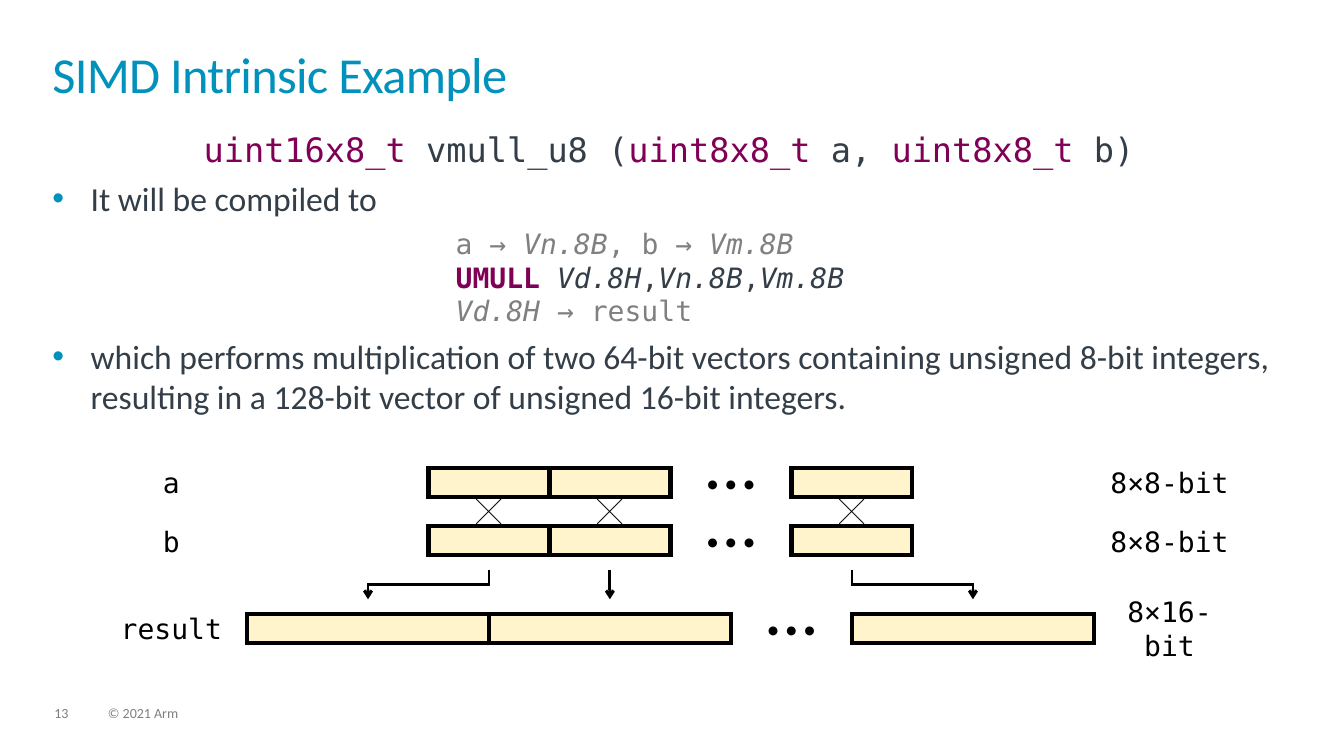
from dataclasses import dataclass
from typing import Any

from lxml import etree
from pptx import Presentation
from pptx import util as u
from pptx.dml.color import RGBColor
from pptx.enum import shapes, text
from pptx.oxml.ns import qn

BLUE = RGBColor(0x00, 0x91, 0xBD)
SLATE = RGBColor(0x33, 0x3E, 0x48)
PURPLE = RGBColor(0x7F, 0x00, 0x55)
GRAY = RGBColor(0x80, 0x80, 0x80)
FOOTER_GRAY = RGBColor(0x7F, 0x7F, 0x7F)
CREAM = RGBColor(0xFF, 0xF4, 0xCC)
BLACK = RGBColor(0, 0, 0)
SANS, MONO, CJK = "Calibri", "DejaVu Sans Mono", "Noto Sans CJK SC"

WIDTH, HEIGHT = u.Inches(13.33), u.Inches(7.5)
GRID_LEFT, GRID_TOP = 2.45, 4.64
COL, ROW = 0.6, 0.29
CENTER = text.PP_ALIGN.CENTER


@dataclass(frozen=True)
class Box:
    left: int
    top: int
    width: int
    height: int


@dataclass(frozen=True)
class Style:
    name: str
    size: float
    color: RGBColor
    bold: bool = False
    italic: bool = False


@dataclass(frozen=True)
class Lane:
    row: int
    label: str
    size_label: str
    span: int
    cells: tuple[int, ...]
    dots: int


@dataclass(frozen=True)
class Arrow:
    start: int
    end: int


Run = tuple[str, Style]

LANES = (
    Lane(0, "a", "8×8-bit", 2, (3, 5, 9), 7),
    Lane(2, "b", "8×8-bit", 2, (3, 5, 9), 7),
    Lane(5, "result", "8×16-bit", 4, (0, 4, 10), 8),
)
ARROWS = (Arrow(4, 2), Arrow(6, 6), Arrow(10, 12))
CROSS_ROW = 1

TITLE = Style(SANS, 36, BLUE)
BODY = Style(SANS, 24, SLATE)
FOOTER = Style(SANS, 10, FOOTER_GRAY)
SIGNATURE, TYPE = Style(MONO, 24, SLATE), Style(MONO, 24, PURPLE)
NOTE, NOTE_REG = Style(MONO, 20, GRAY), Style(MONO, 20, GRAY, italic=True)
CODE, CODE_REG = Style(MONO, 20, SLATE), Style(MONO, 20, SLATE, italic=True)
OPCODE = Style(MONO, 20, PURPLE, bold=True)
LABEL = Style(MONO, 20, BLACK)
DOTS = Style(SANS, 18, BLACK)
CROSS = Style(CJK, 18, BLACK, bold=True)

PROTOTYPE: list[Run] = [
    ("uint16x8_t", TYPE), (" vmull_u8 (", SIGNATURE), ("uint8x8_t", TYPE),
    (" a, ", SIGNATURE), ("uint8x8_t", TYPE), (" b)", SIGNATURE),
]
ASSEMBLY: list[list[Run]] = [
    [("a → ", NOTE), ("Vn.8B", NOTE_REG), (", b → ", NOTE), ("Vm.8B", NOTE_REG)],
    [("UMULL ", OPCODE), ("Vd.8H", CODE_REG), (",", CODE), ("Vn.8B", CODE_REG),
     (",", CODE), ("Vm.8B", CODE_REG)],
    [("Vd.8H", NOTE_REG), (" → result", NOTE)],
]


def share(left: float, top: float, width: float, height: float) -> Box:
    return Box(int(WIDTH * left / 100), int(HEIGHT * top / 100),
               int(WIDTH * width / 100), int(HEIGHT * height / 100))


def grid_x(col: float) -> int:
    return u.Inches(GRID_LEFT + col * COL)


def grid_y(row: float) -> int:
    return u.Inches(GRID_TOP + row * ROW)


def grid(col: float, row: float, span: float) -> Box:
    return Box(grid_x(col), grid_y(row), u.Inches(span * COL), u.Inches(ROW))


def apply(target: Any, values: dict[str, Any]) -> None:
    for key, value in values.items():
        setattr(target, key, value)


def add_run(p: Any, content: str, style: Style) -> Any:
    r = p.add_run()
    r.text = content
    apply(r.font, {"name": style.name, "size": u.Pt(style.size),
                   "bold": style.bold, "italic": style.italic})
    r.font.color.rgb = style.color
    etree.SubElement(r.font._element, qn("a:ea"), typeface=style.name)
    return r


def add_lines(p: Any, lines: list[list[Run]], **fmt: Any) -> None:
    for i, line in enumerate(lines):
        if i:
            p.add_line_break()
        for content, style in line:
            add_run(p, content, style)
    apply(p, fmt)


def indent(p: Any, left: float, hanging: float = 0) -> None:
    pPr = p._p.get_or_add_pPr()
    pPr.set("marL", str(u.Inches(left)))
    pPr.set("indent", str(-u.Inches(hanging)))


def add_bullet(p: Any) -> None:
    indent(p, 0.38, 0.38)
    pPr = p._p.get_or_add_pPr()
    clr = etree.SubElement(pPr, qn("a:buClr"))
    etree.SubElement(clr, qn("a:srgbClr"), val=str(BLUE))
    etree.SubElement(pPr, qn("a:buFont"), typeface="Arial")
    etree.SubElement(pPr, qn("a:buChar"), char="•")


def add_box(s: Any, box: Box, inset: bool = False) -> Any:
    tf = s.shapes.add_textbox(box.left, box.top, box.width, box.height).text_frame
    tf.word_wrap = True
    if not inset:
        apply(tf, dict.fromkeys(
            ("margin_left", "margin_top", "margin_right", "margin_bottom"), 0))
    return tf


def add_mark(s: Any, box: Box, content: str, style: Style) -> None:
    tf = add_box(s, box, inset=True)
    tf.vertical_anchor = text.MSO_ANCHOR.MIDDLE
    add_lines(tf.paragraphs[0], [[(content, style)]], alignment=CENTER)


def set_line(sp: Any, points: float) -> Any:
    sp.line.color.rgb = BLACK
    sp.line.width = u.Pt(points)
    ln = sp._element.spPr.find(qn("a:ln"))
    etree.SubElement(ln, qn("a:miter"), lim="800000")
    return ln


def add_cell(s: Any, box: Box) -> None:
    sp = s.shapes.add_shape(shapes.MSO_SHAPE.RECTANGLE,
                            box.left, box.top, box.width, box.height)
    sp.shadow.inherit = False
    sp.fill.solid()
    sp.fill.fore_color.rgb = CREAM
    set_line(sp, 3)


def add_arrow(s: Any, arrow: Arrow) -> None:
    top, bottom = grid_y(3.5), grid_y(4.5)
    x0, x1 = grid_x(arrow.start), grid_x(arrow.end)
    cx, cy = (x0 + x1) // 2, (top + bottom) // 2
    side = 1 if x1 >= x0 else -1
    half_w, half_h = side * (bottom - top) // 2, abs(x1 - x0) // 2
    cn = s.shapes.add_connector(shapes.MSO_CONNECTOR.ELBOW, cx + half_w,
                                cy - half_h, cx - half_w, cy + half_h)
    etree.SubElement(set_line(cn, 2), qn("a:tailEnd"), type="arrow")
    spPr = cn._element.spPr
    spPr.find(qn("a:xfrm")).set("rot", str((180 + 90 * side) * 60000))
    etree.SubElement(spPr, qn("a:effectLst"))


def add_texts(s: Any) -> None:
    for box, content in ((share(4.05, 93.47, 2.55, 2), "13"),
                         (share(8.03, 93.47, 38.03, 2), "© 2021 Arm")):
        add_lines(add_box(s, box).paragraphs[0], [[(content, FOOTER)]], line_spacing=0.9)

    p = add_box(s, share(3.9, 6.93, 92.12, 9.6)).paragraphs[0]
    p.line_spacing = 0.85
    add_run(p, "SIMD Intrinsic Example", TITLE).font._element.set("spc", "-50")

    tf = add_box(s, share(3.9, 17.07, 91.75, 43.33))
    add_lines(tf.paragraphs[0], [PROTOTYPE], alignment=CENTER)
    compiled, assembly, effect = (tf.add_paragraph() for _ in range(3))
    for p, content in (
        (compiled, "It will be compiled to"),
        (effect, "which performs multiplication of two 64-bit vectors containing "
                 "unsigned 8-bit integers, resulting in a 128-bit vector of "
                 "unsigned 16-bit integers."),
    ):
        add_bullet(p)
        add_lines(p, [[(content, BODY)]], space_before=u.Pt(6))
    indent(assembly, 4)
    add_lines(assembly, ASSEMBLY, space_before=u.Pt(6))


def add_diagram(s: Any) -> None:
    for lane in LANES:
        for col in lane.cells:
            add_cell(s, grid(col, lane.row, lane.span))
        add_mark(s, grid(lane.dots, lane.row, 2), "• • •", DOTS)
        add_mark(s, grid(-2.5, lane.row, 2.5), lane.label, LABEL)
        add_mark(s, grid(14, lane.row, 2.5), lane.size_label, LABEL)
    for col in LANES[0].cells:
        add_mark(s, grid(col, CROSS_ROW, 2), "╳", CROSS)
    for arrow in ARROWS:
        add_arrow(s, arrow)


def main() -> None:
    prs = Presentation()
    apply(prs, {"slide_width": WIDTH, "slide_height": HEIGHT})
    s = prs.slides.add_slide(prs.slide_layouts[6])
    add_texts(s)
    add_diagram(s)
    prs.save("out.pptx")


if __name__ == "__main__":
    main()
